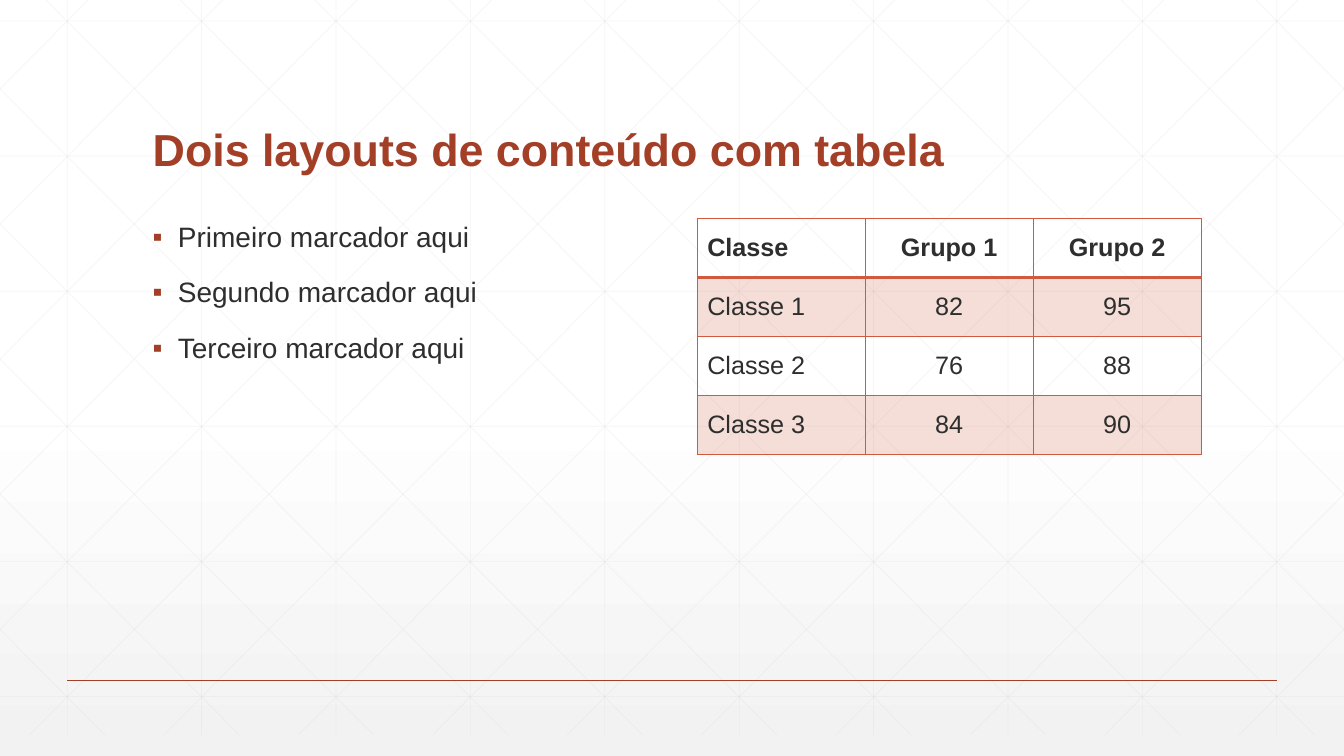
from lxml import etree
from pptx import Presentation
from pptx.dml.color import RGBColor
from pptx.enum.shapes import MSO_CONNECTOR
from pptx.enum.text import MSO_ANCHOR as Anchor, PP_ALIGN as Align
from pptx.oxml import parse_xml
from pptx.oxml.ns import qn
from pptx.util import Pt

TITLE = "Dois layouts de conteúdo com tabela"
BULLETS = ["Primeiro marcador aqui", "Segundo marcador aqui", "Terceiro marcador aqui"]
ROWS = [
    ("Classe", "Grupo 1", "Grupo 2"),
    ("Classe 1", "82", "95"),
    ("Classe 2", "76", "88"),
    ("Classe 3", "84", "90"),
]
COLORS = {"title": "A43F27", "text": "2D2E2D", "accent": "D15A3E",
          "grid": "D9D9D9", "top": "FFFFFF", "bottom": "F2F2F2"}
BACKGROUND = [(0, "top"), (53, "top"), (100, "bottom")]
FONT = "Arial"
WIDTH, HEIGHT = 960, 540
GRID_TOP, GRID_BOTTOM = -15, 525
PITCH, ROW_PITCH = 96, 96.5
DIAGONAL_RUN = 537
LEFT, CONTENT_TOP = 102, 156
TABLE_LEFT, COLUMN_WIDTH, ROW_HEIGHT = 498, 120, 42.12
DRAWING = "http://schemas.openxmlformats.org/drawingml/2006/main"


def add_alpha(fill_parent, percent):
    color = fill_parent.find(".//" + qn("a:srgbClr"))
    etree.SubElement(color, qn("a:alpha")).set("val", str(percent * 1000))


def add_line(shapes, start, end, color, width, alpha=None):
    line = shapes.add_connector(MSO_CONNECTOR.STRAIGHT, *map(Pt, start + end))
    line.line.color.rgb = RGBColor.from_string(COLORS[color])
    line.line.width = Pt(width)
    properties = line._element.spPr
    if alpha:
        add_alpha(properties, alpha)
    etree.SubElement(properties, qn("a:effectLst"))


def add_text(para, text, size, color, bold=False):
    span = para.add_run()
    span.text = text
    span.font.name = FONT
    span.font.size = Pt(size)
    span.font.bold = bold
    span.font.color.rgb = RGBColor.from_string(COLORS[color])


def add_box(page, left, top, width, height, anchor):
    box = page.shapes.add_textbox(*map(Pt, (left, top, width, height)))
    box.text_frame.word_wrap = True
    box.text_frame.vertical_anchor = anchor
    return box.text_frame


def paint_background(page):
    page.background.fill.solid()
    properties = page._element.cSld.find(qn("p:bg")).find(qn("p:bgPr"))
    stops = "".join(
        f'<a:gs pos="{place * 1000}"><a:srgbClr val="{COLORS[color]}"/></a:gs>'
        for place, color in BACKGROUND)
    gradient = parse_xml(
        f'<a:gradFill xmlns:a="{DRAWING}" rotWithShape="1"><a:gsLst>{stops}</a:gsLst>'
        '<a:lin ang="5400000" scaled="0"/></a:gradFill>')
    properties.replace(properties.find(qn("a:solidFill")), gradient)


def grid_lines():
    for column in range(10):
        x = 48 + PITCH * column
        yield (x, GRID_TOP), (x, GRID_BOTTOM)
    for row in range(6):
        y = 15 + ROW_PITCH * row
        yield (0, y), (WIDTH, y)
    slope = (GRID_BOTTOM - GRID_TOP) / DIAGONAL_RUN
    for step in range(-5, 10):
        x = 18 + PITCH * step
        first, last = max(x, 0), min(x + DIAGONAL_RUN, WIDTH)
        y1, y2 = (round(GRID_TOP + (edge - x) * slope, 2) for edge in (first, last))
        yield (first, y1), (last, y2)
        yield (WIDTH - first, y1), (WIDTH - last, y2)


def add_bullet(para):
    properties = para._p.get_or_add_pPr()
    properties.set("marL", str(Pt(18)))
    properties.set("indent", str(-Pt(18)))
    color = etree.SubElement(properties, qn("a:buClr"))
    etree.SubElement(color, qn("a:srgbClr")).set("val", COLORS["title"])
    etree.SubElement(properties, qn("a:buFont")).set("typeface", FONT)
    etree.SubElement(properties, qn("a:buChar")).set("char", "▪")


def add_borders(cell, widths):
    properties = cell._tc.get_or_add_tcPr()
    for place, (side, width) in enumerate(widths.items()):
        properties.insert(place, parse_xml(
            f'<a:ln{side} xmlns:a="{DRAWING}" w="{Pt(width)}"><a:solidFill>'
            f'<a:srgbClr val="{COLORS["accent"]}"/></a:solidFill></a:ln{side}>'))


def add_class_table(page):
    rows, columns = len(ROWS), len(ROWS[0])
    table = page.shapes.add_table(
        rows, columns, Pt(TABLE_LEFT), Pt(CONTENT_TOP),
        Pt(COLUMN_WIDTH * columns), Pt(ROW_HEIGHT * rows)).table
    table.first_row = True
    table.horz_banding = False
    for r, values in enumerate(ROWS):
        table.rows[r].height = Pt(ROW_HEIGHT)
        for c, value in enumerate(values):
            cell = table.cell(r, c)
            cell.vertical_anchor = Anchor.MIDDLE
            if r % 2:
                cell.fill.solid()
                cell.fill.fore_color.rgb = RGBColor.from_string(COLORS["accent"])
                add_alpha(cell._tc.tcPr, 20)
            else:
                cell.fill.background()
            add_borders(cell, {"L": 1, "R": 1, "T": 2 if r == 1 else 1, "B": 2 if r == 0 else 1})
            para = cell.text_frame.paragraphs[0]
            para.alignment = Align.CENTER if c else Align.LEFT
            add_text(para, value, 18, "text", bold=r == 0)


def main():
    deck = Presentation()
    deck.slide_width, deck.slide_height = Pt(WIDTH), Pt(HEIGHT)
    page = deck.slides.add_slide(deck.slide_layouts[6])
    paint_background(page)

    grid = page.shapes.add_group_shape()
    for start, end in grid_lines():
        add_line(grid.shapes, start, end, "grid", 0.5, alpha=25)
    add_line(page.shapes, (48, 486), (912, 486), "title", 1)

    title = add_box(page, LEFT, 39.6, 756, 90, Anchor.BOTTOM).paragraphs[0]
    title.line_spacing = 0.9
    add_text(title, TITLE, 32, "title", bold=True)

    body = add_box(page, LEFT, CONTENT_TOP, 360, 300, Anchor.TOP)
    for index, bullet in enumerate(BULLETS):
        para = body.add_paragraph() if index else body.paragraphs[0]
        para.line_spacing = 0.9
        para.space_before = Pt(18)
        add_bullet(para)
        add_text(para, bullet, 20, "text")

    add_class_table(page)
    deck.save("out.pptx")


if __name__ == "__main__":
    main()
